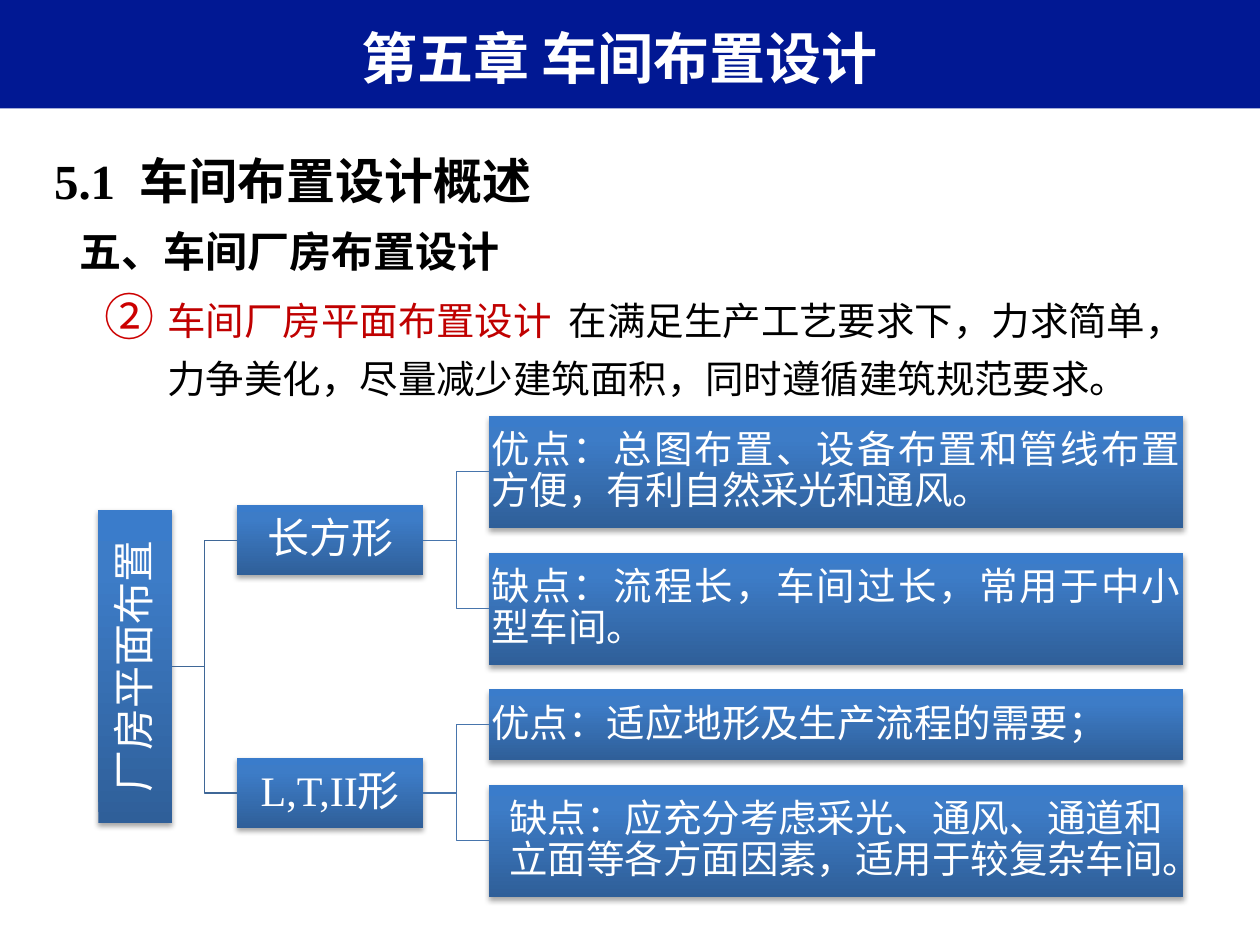
from dataclasses import dataclass

from lxml import etree
from pptx import Presentation
from pptx import oxml
from pptx.dml.color import RGBColor
from pptx.enum import shapes, text
from pptx.oxml import ns
from pptx.util import Pt

NAVY = RGBColor(0x01, 0x18, 0x93)
WHITE = RGBColor(0xFF, 0xFF, 0xFF)
BLACK = RGBColor(0x00, 0x00, 0x00)
RED = RGBColor(0xC0, 0x00, 0x00)
MARKER_RED = RGBColor(0xCC, 0x00, 0x00)
ROOT_LINE = RGBColor(0x3F, 0x67, 0x97)
BRANCH_LINE = RGBColor(0x48, 0x75, 0xAC)
DEEP_BLUE = RGBColor(0x2F, 0x5F, 0x99)
MID_BLUE = RGBColor(0x3D, 0x7C, 0xC7)
LIGHT_BLUE = RGBColor(0x3A, 0x7C, 0xCB)

CJK = "Noto Sans CJK SC"
SERIF = "Times New Roman"
CENTER = text.PP_ALIGN.CENTER
JUSTIFY = text.PP_ALIGN.JUSTIFY

ROOT_X, ROOT_W, ROOT_H = 56.2, 42.4, 179.2
BRANCH_X, BRANCH_W, BRANCH_H = 135.4, 106.6, 40.2
LEAF_X, LEAF_W = 279.4, 396.8
LEAF_TOP, LEAF_GAP = 237.6, 14.2
ONE_LINE, TWO_LINES = 40.2, 64


@dataclass
class Leaf:
    label: str
    height: float
    align: text.PP_ALIGN = JUSTIFY


@dataclass
class Branch:
    label: str
    font: str
    leaves: list[Leaf]


BRANCHES = [
    Branch("长方形", CJK, [
        Leaf("优点：总图布置、设备布置和管线布置方便，有利自然采光和通风。", TWO_LINES),
        Leaf("缺点：流程长，车间过长，常用于中小型车间。", TWO_LINES),
    ]),
    Branch("L,T,II形", SERIF, [
        Leaf("优点：适应地形及生产流程的需要；", ONE_LINE),
        Leaf("缺点：应充分考虑采光、通风、通道和立面等各方面因素，适用于较复杂车间。",
             TWO_LINES, CENTER),
    ]),
]


def write(paragraph, content, *, size, color=BLACK, font=CJK, bold=False, align=None):
    if align is not None:
        paragraph.alignment = align
    run = paragraph.add_run()
    run.text = content
    run.font.size = Pt(size)
    run.font.bold = bold
    run.font.color.rgb = color
    run.font.name = font
    etree.SubElement(run.font._element, ns.qn("a:ea"), typeface=CJK)


def style_node(node) -> None:
    stops = "".join(
        f'<a:gs pos="{pos}"><a:srgbClr val="{color}"/></a:gs>'
        for pos, color in ((0, DEEP_BLUE), (80000, MID_BLUE), (100000, LIGHT_BLUE))
    )
    gradient = oxml.parse_xml(
        f'<a:gradFill {ns.nsdecls("a")} rotWithShape="1"><a:gsLst>{stops}</a:gsLst>'
        '<a:lin ang="16200000" scaled="0"/></a:gradFill>'
    )
    shadow = oxml.parse_xml(
        f'<a:outerShdw {ns.nsdecls("a")} blurRad="{Pt(3.1)}" dist="{Pt(1.8)}" dir="5400000" '
        'rotWithShape="0"><a:srgbClr val="000000"><a:alpha val="35000"/></a:srgbClr>'
        '</a:outerShdw>'
    )
    node.line.fill.background()
    node.shadow.inherit = False
    properties = node._element.spPr
    properties.find(ns.qn("a:ln")).addprevious(gradient)
    properties.find(ns.qn("a:effectLst")).append(shadow)


def add_node(slide, left: float, middle: float, width: float, height: float,
             label: str, *, size: float, font: str = CJK, align=CENTER):
    node = slide.shapes.add_shape(
        shapes.MSO_SHAPE.RECTANGLE,
        Pt(left), Pt(middle - height / 2), Pt(width), Pt(height))
    style_node(node)
    frame = node.text_frame
    frame.word_wrap = True
    frame.vertical_anchor = text.MSO_ANCHOR.MIDDLE
    frame.margin_left = frame.margin_right = Pt(1.5)
    frame.margin_top = frame.margin_bottom = Pt(1.5)
    paragraph = frame.paragraphs[0]
    paragraph.line_spacing = 0.9
    write(paragraph, label, size=size, color=WHITE, font=font, align=align)
    return node


def link(slide, parent, child, color: RGBColor) -> None:
    elbow = slide.shapes.add_connector(shapes.MSO_CONNECTOR.ELBOW, 0, 0, 0, 0)
    elbow.begin_connect(parent, 3)
    elbow.end_connect(child, 1)
    elbow.line.color.rgb = color
    elbow.line.width = Pt(0.75)
    etree.SubElement(elbow._element.spPr, ns.qn("a:effectLst"))


def add_header(slide) -> None:
    band = slide.shapes.add_shape(shapes.MSO_SHAPE.RECTANGLE, 0, 0, Pt(720), Pt(62))
    band.shadow.inherit = False
    band.fill.solid()
    band.fill.fore_color.rgb = NAVY
    band.line.fill.background()
    slide.shapes._spTree.insert(2, band._element)

    title = slide.shapes.title
    title.left, title.top, title.width, title.height = Pt(28), Pt(9.4), Pt(652.4), Pt(46)
    frame = title.text_frame
    frame.word_wrap = True
    frame.auto_size = text.MSO_AUTO_SIZE.NONE
    frame.vertical_anchor = text.MSO_ANCHOR.MIDDLE
    write(frame.paragraphs[0], "第五章 车间布置设计", size=32, color=WHITE,
          bold=True, align=CENTER)


def add_outline(slide) -> None:
    outline = slide.shapes.add_textbox(Pt(23.8), Pt(82.8), Pt(666), Pt(425.5))
    frame = outline.text_frame
    frame.word_wrap = True
    section = frame.paragraphs[0]
    topic, point = frame.add_paragraph(), frame.add_paragraph()

    topic._p.get_or_add_pPr().set("marL", str(Pt(14.4)))
    point.level = 1
    numbering = point._p.get_or_add_pPr()
    numbering.set("marL", str(Pt(64.8)))
    numbering.set("indent", str(Pt(-36)))
    marker_color = etree.SubElement(numbering, ns.qn("a:buClr"))
    etree.SubElement(marker_color, ns.qn("a:srgbClr"), val=str(MARKER_RED))
    etree.SubElement(numbering, ns.qn("a:buSzPct"), val="130000")
    etree.SubElement(numbering, ns.qn("a:buAutoNum"), type="circleNumDbPlain", startAt="2")

    for paragraph in frame.paragraphs:
        paragraph.line_spacing = Pt(33)
    for paragraph in (topic, point):
        paragraph.space_before = Pt(5.5)

    write(section, "5.1  车间布置设计概述", size=28, font=SERIF, bold=True)
    write(topic, "五、车间厂房布置设计", size=24, font=SERIF, bold=True)
    write(point, "车间厂房平面布置设计  ", size=22, font=SERIF, color=RED)
    write(point, "在满足生产工艺要求下，力求简单，力争美化，尽量减少建筑面积，同时遵循建筑规范要求。",
          size=22, font=SERIF)


def add_layout_tree(slide) -> None:
    branch_nodes, branch_middles = [], []
    top = LEAF_TOP
    for branch in BRANCHES:
        first_top = top
        leaf_nodes = []
        for leaf in branch.leaves:
            leaf_nodes.append(add_node(slide, LEAF_X, top + leaf.height / 2, LEAF_W,
                                       leaf.height, leaf.label, size=22, align=leaf.align))
            top += leaf.height + LEAF_GAP
        middle = (first_top + top - LEAF_GAP) / 2
        branch_node = add_node(slide, BRANCH_X, middle, BRANCH_W, BRANCH_H,
                               branch.label, size=24, font=branch.font)
        for leaf_node in leaf_nodes:
            link(slide, branch_node, leaf_node, BRANCH_LINE)
        branch_nodes.append(branch_node)
        branch_middles.append(middle)

    root = add_node(slide, ROOT_X, sum(branch_middles) / len(branch_middles),
                    ROOT_W, ROOT_H, "厂房平面布置", size=24)
    root.text_frame._txBody.bodyPr.set("vert", "vert270")
    for branch_node in branch_nodes:
        link(slide, root, branch_node, ROOT_LINE)


def main() -> None:
    deck = Presentation()
    deck.slide_width, deck.slide_height = Pt(720), Pt(540)
    slide = deck.slides.add_slide(deck.slide_layouts[5])
    add_header(slide)
    add_outline(slide)
    add_layout_tree(slide)
    deck.save("out.pptx")


if __name__ == "__main__":
    main()
